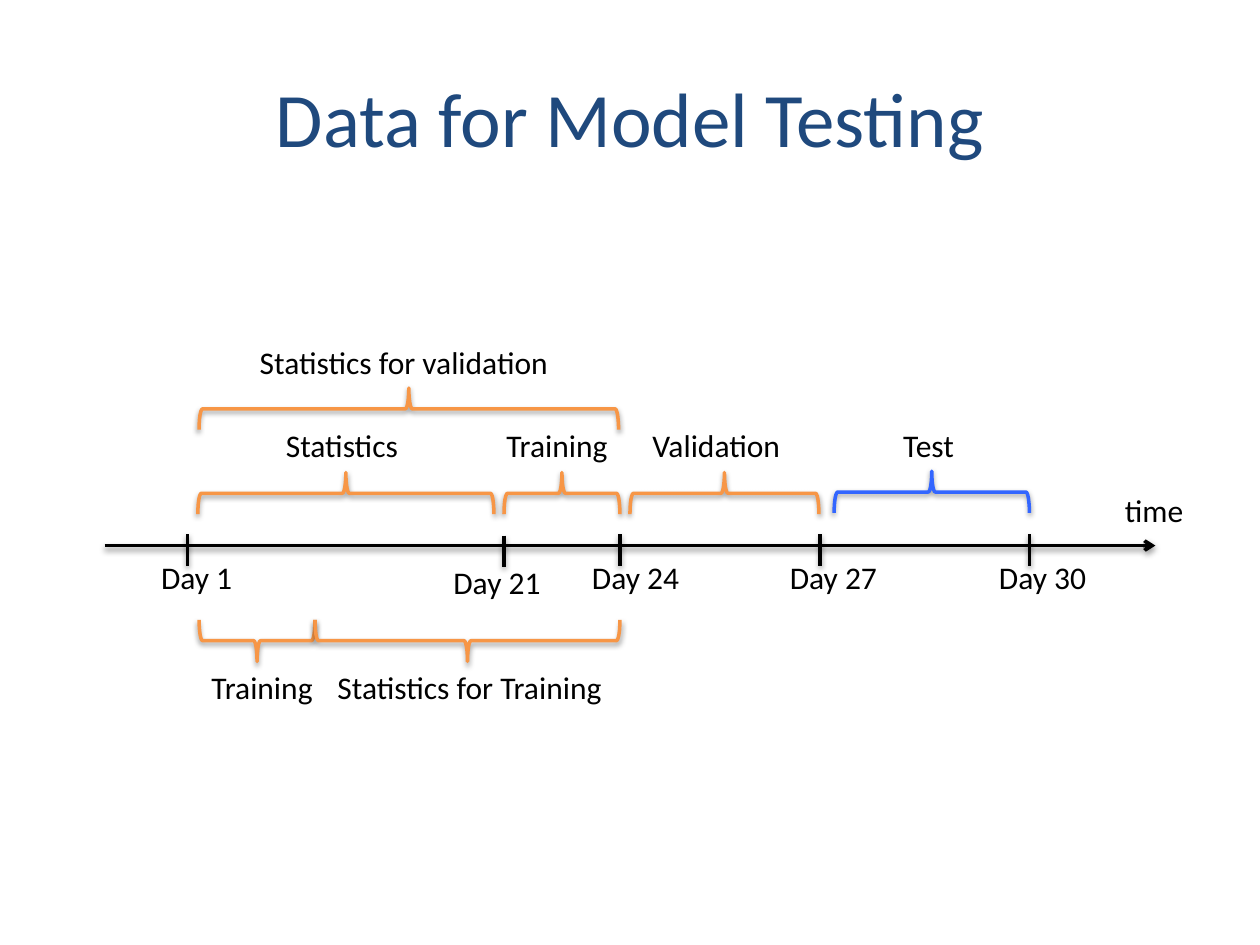
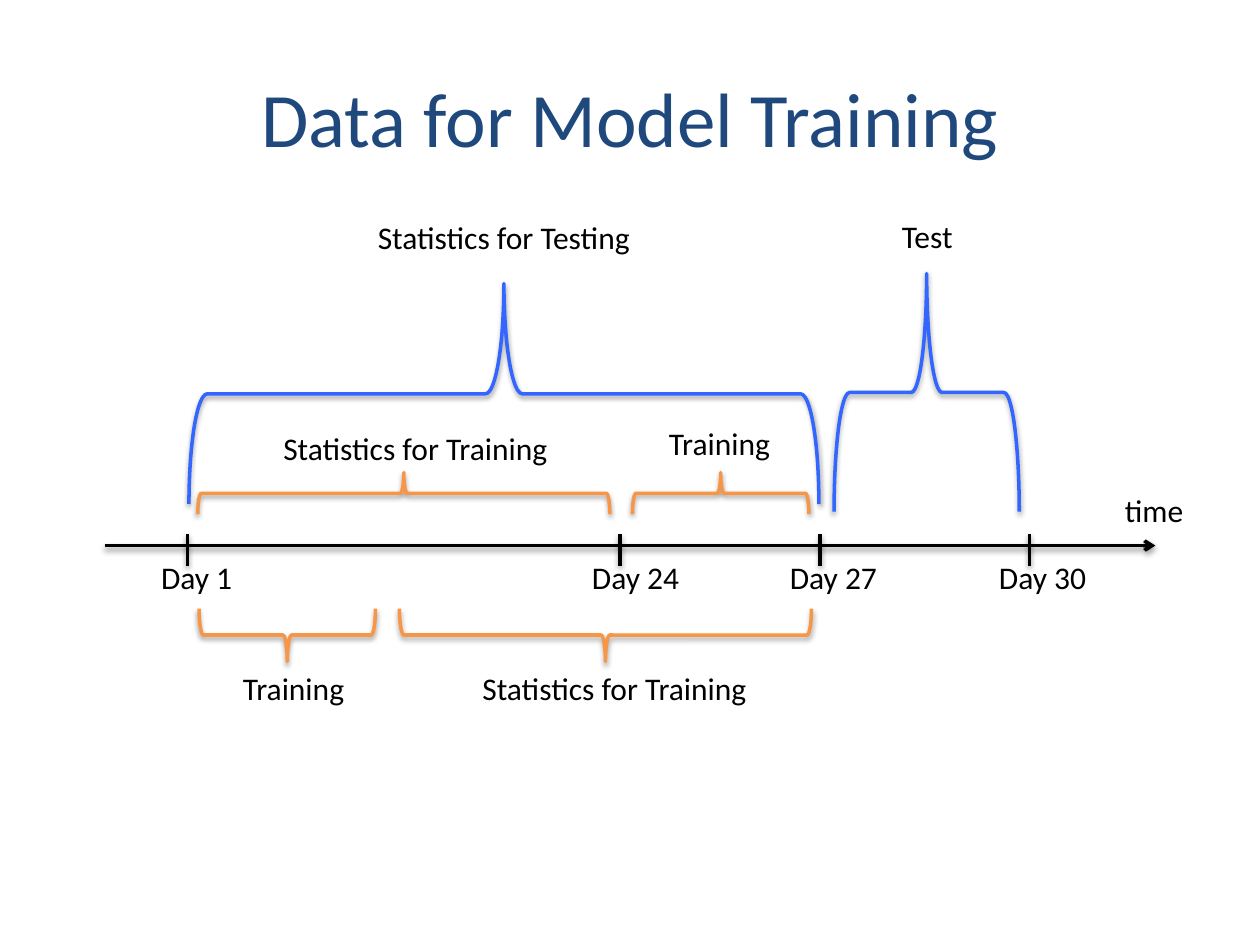
from lxml import etree
from pptx import Presentation
from pptx.dml.color import RGBColor
from pptx.enum.shapes import MSO_CONNECTOR, MSO_SHAPE
from pptx.enum.text import MSO_ANCHOR, MSO_AUTO_SIZE, PP_ALIGN
from pptx.oxml.ns import qn
from pptx.util import Inches, Pt

STRAIGHT = MSO_CONNECTOR.STRAIGHT
BRACE = MSO_SHAPE.RIGHT_BRACE
MIDDLE = MSO_ANCHOR.MIDDLE
GROW = MSO_AUTO_SIZE.SHAPE_TO_FIT_TEXT
LEFT, CENTER = PP_ALIGN.LEFT, PP_ALIGN.CENTER

BLACK, NAVY, ORANGE, BLUE = "000000", "1F497D", "F79646", "3366FF"
UP, DOWN = 270, 90
AXIS = 4.33
DAYS = [
    ("Day 1", 1.49, 1.18, 0.77),
    ("Day 24", 4.92, 4.6, 0.9),
    ("Day 27", 6.51, 6.17, 0.9),
    ("Day 30", 8.17, 7.83, 0.9),
]


def tint(code):
    return RGBColor.from_string(code)


def apply(target, values):
    for name, value in values.items():
        setattr(target, name, value)


class Deck:
    face = "Calibri"
    line = {"width": Pt(2)}
    shade = {"blurRad": Pt(3.1), "dist": Pt(1.6), "dir": 90 * 60000, "rotWithShape": 0}

    def __init__(self):
        self.prs = Presentation()
        apply(self.prs, {"slide_width": Inches(10), "slide_height": Inches(7.5)})
        self.slide = None

    def text(self, frame, words, size, code, align):
        para = frame.paragraphs[0]
        para.alignment = align
        run = para.add_run()
        run.text = words
        apply(run.font, {"name": self.face, "size": Pt(size)})
        run.font.color.rgb = tint(code)

    def page(self, words):
        self.slide = self.prs.slides.add_slide(self.prs.slide_layouts[5])
        title = self.slide.shapes.title
        apply(title, {"left": Inches(0.5), "top": Inches(0.3),
                      "width": Inches(9), "height": Inches(1.25)})
        title.text_frame.vertical_anchor = MIDDLE
        self.text(title.text_frame, words, 44, NAVY, CENTER)

    def label(self, words, left, top, width, wrap=False, align=LEFT):
        box = self.slide.shapes.add_textbox(
            Inches(left), Inches(top), Inches(width), Inches(0.4))
        apply(box.text_frame, {"word_wrap": wrap, "auto_size": GROW})
        self.text(box.text_frame, words, 18, BLACK, align)

    def stroke(self, shape, code):
        apply(shape.line, self.line)
        shape.line.color.rgb = tint(code)
        effects = etree.SubElement(shape._element.spPr, qn("a:effectLst"))
        shadow = etree.SubElement(effects, qn("a:outerShdw"))
        for name, value in self.shade.items():
            shadow.set(name, str(value))
        color = etree.SubElement(shadow, qn("a:srgbClr"), val=BLACK)
        etree.SubElement(color, qn("a:alpha"), val="38000")

    def rule(self, x1, y1, x2, y2, arrow=False):
        line = self.slide.shapes.add_connector(
            STRAIGHT, Inches(x1), Inches(y1), Inches(x2), Inches(y2))
        self.stroke(line, BLACK)
        if arrow:
            outline = line._element.spPr.find(qn("a:ln"))
            etree.SubElement(outline, qn("a:tailEnd"), type="arrow")

    def brace(self, left, top, span, depth, turn=UP, code=ORANGE):
        x = left + (span - depth) / 2
        y = top + (depth - span) / 2
        shape = self.slide.shapes.add_shape(
            BRACE, Inches(x), Inches(y), Inches(depth), Inches(span))
        shape.rotation = turn
        shape.fill.background()
        self.stroke(shape, code)

    def day(self, words, tick, left, width, drop=0.0, sink=0.0):
        top = AXIS - 0.09 + drop
        self.rule(tick, top, tick, top + 0.25)
        self.label(words, left, AXIS + 0.05 + sink, width)

    def axis(self):
        self.rule(0.83, AXIS, 9.17, AXIS, arrow=True)
        self.label("time", 8.83, 3.85, 0.67)
        for item in DAYS:
            self.day(*item)


def testing(deck):
    deck.page("Data for Model Testing")
    deck.axis()
    deck.day("Day 21", 4, 3.5, 0.91, drop=0.01, sink=0.04)
    for left, span in ((1.57, 2.35), (4, 0.92), (5, 1.5)):
        deck.brace(left, 3.75, span, 0.33)
    deck.brace(6.62, 3.74, 1.55, 0.33, code=BLUE)
    deck.brace(1.58, 3.08, 3.33, 0.33)
    for left, span in ((1.58, 0.92), (2.5, 2.42)):
        deck.brace(left, 4.92, span, 0.33, DOWN)
    deck.label("Statistics for validation", 1.58, 2.67, 3.25, True, CENTER)
    deck.label("Statistics", 2.17, 3.33, 1.25, True)
    deck.label("Training", 3.92, 3.33, 1.17, True)
    deck.label("Validation", 5.08, 3.33, 1.24)
    deck.label("Test", 7.07, 3.33, 0.61)
    deck.label("Training", 1.58, 5.25, 1.01)
    deck.label("Statistics for Training", 2.58, 5.25, 2.35)


def training(deck):
    deck.page("Data for Model Training")
    deck.axis()
    for left, span in ((1.57, 3.27), (5.02, 1.4)):
        deck.brace(left, 3.75, span, 0.33)
    deck.brace(1.5, 2.25, 5, 1.75, code=BLUE)
    deck.brace(6.62, 2.17, 1.47, 1.89, code=BLUE)
    for left, span in ((1.58, 1.4), (3.17, 3.27)):
        deck.brace(left, 4.83, span, 0.42, DOWN)
    deck.label("Statistics for Testing", 2.9, 1.68, 2.26)
    deck.label("Test", 7.06, 1.67, 0.61)
    deck.label("Statistics for Training", 2.15, 3.36, 2.35)
    deck.label("Training", 5.21, 3.32, 1.01)
    deck.label("Training", 1.83, 5.26, 1.01)
    deck.label("Statistics for Training", 3.73, 5.26, 2.35)


def main():
    deck = Deck()
    testing(deck)
    training(deck)
    deck.prs.save("out.pptx")


if __name__ == "__main__":
    main()
